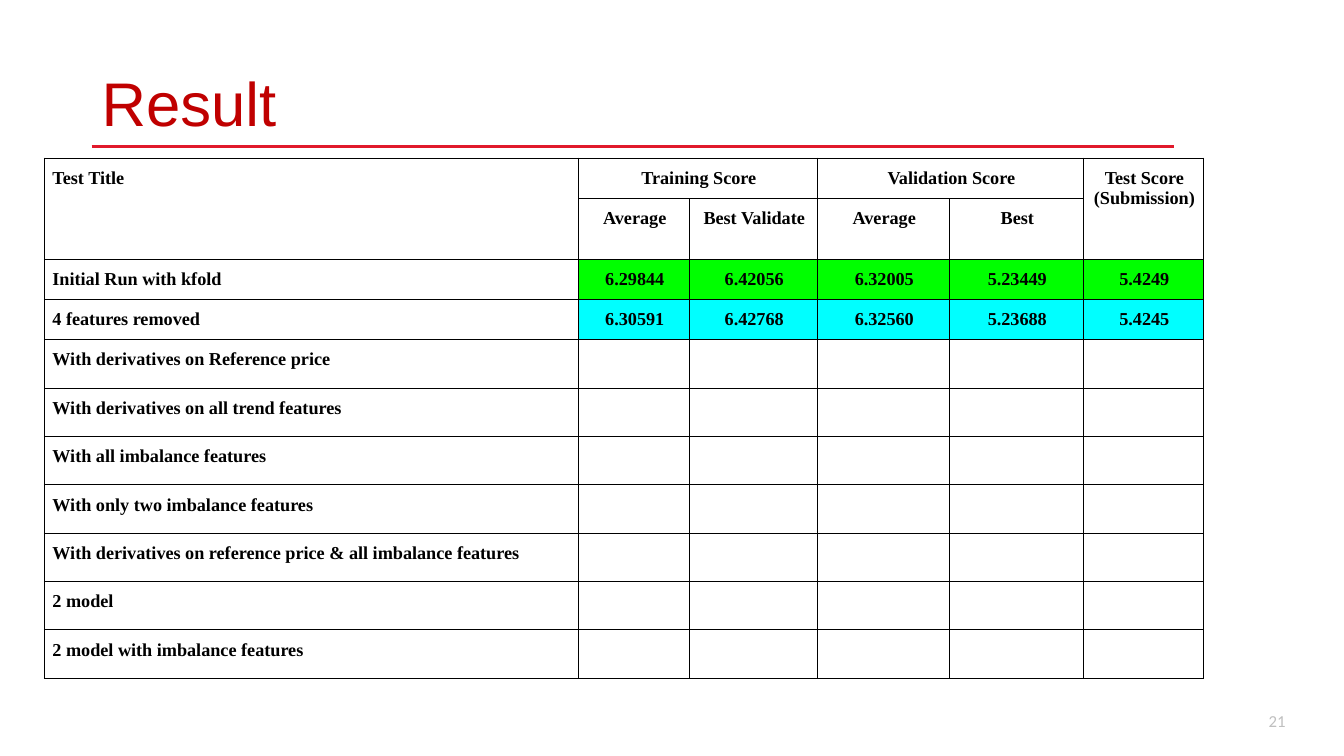
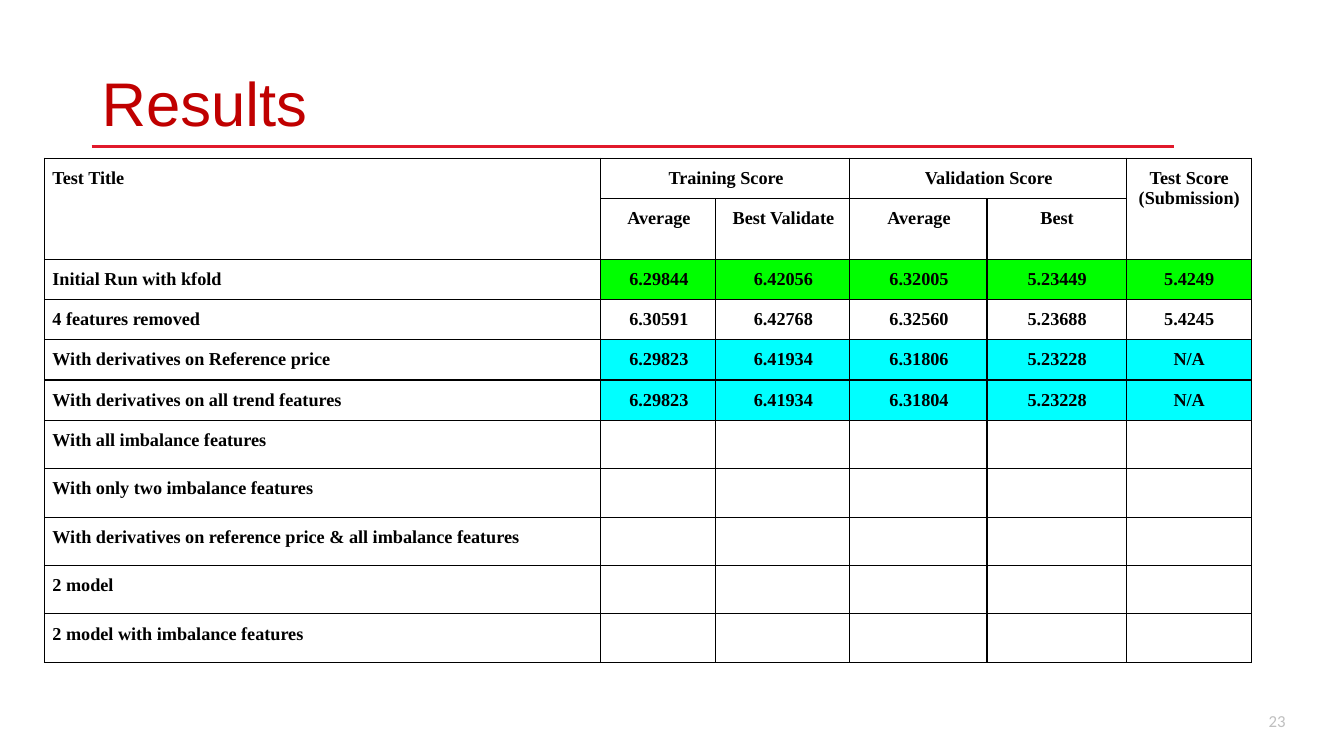
import pptx
import pptx.dml.color
import pptx.enum.shapes
import pptx.enum.text
import pptx.oxml
import pptx.oxml.ns
import pptx.util
from lxml import etree

Inches = pptx.util.Inches
Pt = pptx.util.Pt
ALIGN = pptx.enum.text.PP_ALIGN

COLORS = {
    "title": "C00000",
    "rule": "E1192B",
    "number": "BFBFBF",
    "ink": "000000",
    "green": "00FF00",
    "cyan": "00FFFF",
}
HEADER = [
    ["Test Title", "Training Score", "", "Validation Score", "", "Test Score\n(Submission)"],
    ["", "Average", "Best Validate", "Average", "Best", ""],
]
MERGES = [(0, 0, 1, 0), (0, 1, 0, 2), (0, 3, 0, 4), (0, 5, 1, 5)]
TESTS = [
    "Initial Run with kfold",
    "4 features removed",
    "With derivatives on Reference price",
    "With derivatives on all trend features",
    "With all imbalance features",
    "With only two imbalance features",
    "With derivatives on reference price & all imbalance features",
    "2 model",
    "2 model with imbalance features",
]
SCORES = [
    ["6.29844", "6.42056", "6.32005", "5.23449", "5.4249"],
    ["6.30591", "6.42768", "6.32560", "5.23688", "5.4245"],
    ["6.29823", "6.41934", "6.31806", "5.23228", "N/A"],
    ["6.29823", "6.41934", "6.31804", "5.23228", "N/A"],
]
SLIDES = [
    {
        "title": "Result",
        "number": "21",
        "widths": [5.3, 1.1, 1.27, 1.31, 1.33, 1.19],
        "fills": ["green", "cyan"],
    },
    {
        "title": "Results",
        "number": "23",
        "widths": [5.52, 1.14, 1.33, 1.36, 1.38, 1.24],
        "fills": ["green", None, "cyan", "cyan"],
    },
]


def rgb(name):
    return pptx.dml.color.RGBColor.from_string(COLORS[name])


def style_text(tf, font, size, color, align, bold=False):
    for p in tf.paragraphs:
        p.alignment = align
        for r in p.runs:
            r.font.name = font
            r.font.size = Pt(size)
            r.font.bold = bold
            r.font.color.rgb = rgb(color)


def add_text(s, box, text, font, size, color, align):
    tf = s.shapes.add_textbox(*map(Inches, box)).text_frame
    tf.word_wrap = True
    tf.vertical_anchor = pptx.enum.text.MSO_ANCHOR.MIDDLE
    tf.text = text
    style_text(tf, font, size, color, align)
    return tf


def add_frame(s, title, number):
    rule = s.shapes.add_connector(
        pptx.enum.shapes.MSO_CONNECTOR.STRAIGHT,
        Inches(0.91), Inches(1.45), Inches(11.64), Inches(1.45))
    rule.line.color.rgb = rgb("rule")
    rule.line.width = Pt(2)
    etree.SubElement(rule.element.spPr, pptx.oxml.ns.qn("a:effectLst"))
    tf = add_text(s, (0.91, 0.33, 11.5, 1.45), title, "Arial", 44, "title", ALIGN.LEFT)
    tf.paragraphs[0].line_spacing = 0.9
    add_text(s, (9.85, 6.95, 3, 0.4), number, "Calibri", 12, "number", ALIGN.RIGHT)


def add_borders(cell):
    tc_pr = cell._tc.get_or_add_tcPr()
    for side in ("lnL", "lnR", "lnT", "lnB"):
        tc_pr.append(pptx.oxml.parse_xml(
            f'<a:{side} {pptx.oxml.ns.nsdecls("a")} w="{Pt(0.86)}">'
            f'<a:solidFill><a:srgbClr val="{COLORS["ink"]}"/></a:solidFill></a:{side}>'))


def fill_cell(cell, text, fill, align):
    add_borders(cell)
    if fill:
        cell.fill.solid()
        cell.fill.fore_color.rgb = rgb(fill)
    else:
        cell.fill.background()
    cell.margin_left = Inches(0.08)
    cell.margin_right = Inches(0.07)
    cell.margin_top = Inches(0.1 if text else 0)
    cell.margin_bottom = Inches(0.06 if text else 0)
    if text:
        cell.text_frame.text = text
        style_text(cell.text_frame, "Times New Roman", 13, "ink", align, True)


def add_scores(s, left, top, widths, fills):
    shown = len(fills)
    blank = len(TESTS) - shown
    scores = SCORES[:shown] + [[""] * 5] * blank
    rows = HEADER + [[test] + values for test, values in zip(TESTS, scores)]
    row_fills = [None] * len(HEADER) + fills + [None] * blank
    heights = [0.4, 0.6] + [0.4] * shown + [0.48] * blank
    table = s.shapes.add_table(
        len(rows), len(widths), Inches(left), Inches(top),
        Inches(sum(widths)), Inches(sum(heights))).table
    table.first_row = False
    table.horz_banding = False
    for column, width in zip(table.columns, widths):
        column.width = Inches(width)
    for i, (row, fill, height) in enumerate(zip(rows, row_fills, heights)):
        table.rows[i].height = Inches(height)
        for j, text in enumerate(row):
            align = ALIGN.CENTER if j else ALIGN.LEFT
            fill_cell(table.cell(i, j), text, fill if j else None, align)
    for r1, c1, r2, c2 in MERGES:
        table.cell(r1, c1).merge(table.cell(r2, c2))


def main():
    prs = pptx.Presentation()
    prs.slide_width = Inches(13.33)
    prs.slide_height = Inches(7.5)
    for page in SLIDES:
        s = prs.slides.add_slide(prs.slide_layouts[6])
        add_frame(s, page["title"], page["number"])
        add_scores(s, 0.44, 1.57, page["widths"], page["fills"])
    prs.save("out.pptx")


if __name__ == "__main__":
    main()
